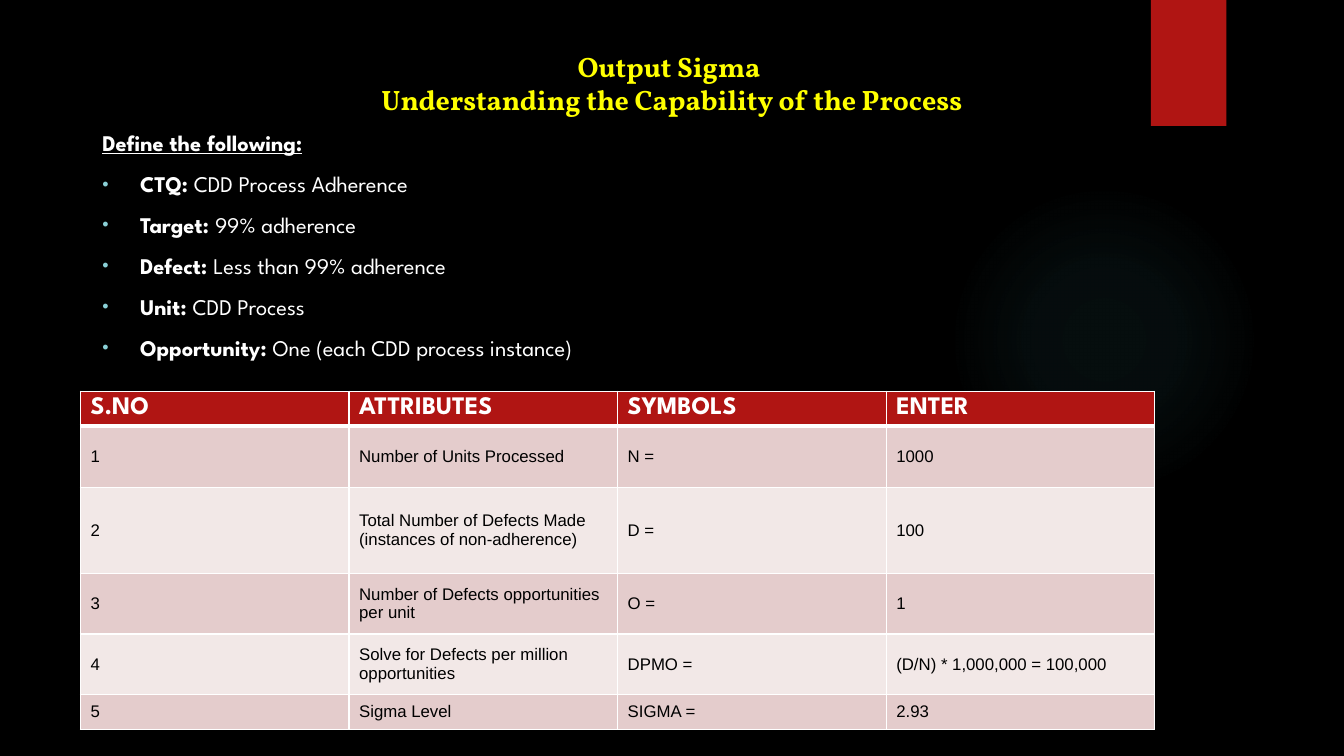
from lxml import etree
from pptx import Presentation
from pptx import util as u
from pptx.dml import color
from pptx.enum import shapes, text
from pptx.oxml import ns

Pt = u.Pt
WHITE, RED, GLOW = "FFFFFF", "B01513", "50B9C1"
HEAD = {"size": Pt(18), "name": "League Spartan", "bold": True}
CELL = {"size": Pt(12), "name": "Arial", "bold": False}
BODY = {"size": Pt(16), "name": "League Spartan"}
TITLE = {"size": Pt(20), "name": "Vollkorn", "bold": True}
DEFINITIONS = [
    ("CTQ: ", "CDD Process Adherence"),
    ("Target: ", "99% adherence"),
    ("Defect: ", "Less than 99% adherence"),
    ("Unit: ", "CDD Process"),
    ("Opportunity: ", "One (each CDD process instance)"),
]
ROWS = [
    ("S.NO", "ATTRIBUTES", "SYMBOLS", "ENTER"),
    ("1", "Number of Units Processed", "N =", "1000"),
    ("2", "Total Number of Defects Made (instances of non-adherence)", "D =", "100"),
    ("3", "Number of Defects opportunities per unit", "O =", "1"),
    ("4", "Solve for Defects per million opportunities", "DPMO =", "(D/N) * 1,000,000 = 100,000"),
    ("5", "Sigma Level", "SIGMA =", "2.93"),
]
HEIGHTS = [25, 43.5, 61.5, 43.5, 43, 25]


def rgb(value):
    return color.RGBColor.from_string(value)


def sub(parent, tag, **attrs):
    return etree.SubElement(parent, ns.qn(tag), {k: str(v) for k, v in attrs.items()})


def style(font, hex_color, values):
    for name, value in values.items():
        setattr(font, name, value)
    font.color.rgb = rgb(hex_color)


def add_run(p, content, hex_color, values):
    r = p.add_run()
    r.text = content
    style(r.font, hex_color, values)


def add_block(s, kind, box, fill):
    sp = s.shapes.add_shape(kind, *map(Pt, box))
    sp.shadow.inherit = False
    sp.line.fill.background()
    sp.fill.solid()
    sp.fill.fore_color.rgb = rgb(fill)
    return sp


def add_glow(s):
    sp = add_block(s, shapes.MSO_SHAPE.OVAL, (677.5, 131.75, 221.75, 221.75), GLOW)
    solid = sp.fill._xPr.find(ns.qn("a:solidFill"))
    grad = etree.Element(ns.qn("a:gradFill"))
    stops = sub(grad, "a:gsLst")
    for pos, alpha in ((0, 7), (36, 6), (69, 0)):
        stop = sub(stops, "a:gs", pos=pos * 1000)
        sub(sub(stop, "a:srgbClr", val=GLOW), "a:alpha", val=alpha * 1000)
    circle = sub(grad, "a:path", path="circle")
    sub(circle, "a:fillToRect", l=50000, t=50000, r=50000, b=50000)
    solid.getparent().replace(solid, grad)


def set_title(s):
    sp = s.shapes.title
    sp.left, sp.top, sp.width, sp.height = map(Pt, (66, 29, 828, 60.5))
    tf = sp.text_frame
    tf.vertical_anchor = text.MSO_ANCHOR.MIDDLE
    tf.word_wrap = True
    p = tf.paragraphs[0]
    p.alignment = text.PP_ALIGN.CENTER
    p.text = "Output Sigma \vUnderstanding the Capability of the Process"
    for r in p.runs:
        style(r.font, "FFFF00", TITLE)


def add_bullet(p):
    pPr = p._p.get_or_add_pPr()
    pPr.set("marL", str(Pt(27)))
    pPr.set("indent", str(Pt(-27)))
    sub(sub(pPr, "a:buClr"), "a:srgbClr", val="8AD0D6")
    sub(pPr, "a:buSzPct", val=80000)
    sub(pPr, "a:buFont", typeface="Arial")
    sub(pPr, "a:buChar", char="•")


def add_definitions(s):
    tf = s.shapes.add_textbox(*map(Pt, (66, 89, 828, 162))).text_frame
    tf.word_wrap = True
    p = tf.paragraphs[0]
    add_run(p, "Define the following:", WHITE, {**BODY, "bold": True, "underline": True})
    for term, meaning in DEFINITIONS:
        p = tf.add_paragraph()
        p.space_before = Pt(10)
        add_bullet(p)
        add_run(p, term, WHITE, {**BODY, "bold": True})
        add_run(p, meaning, WHITE, {**BODY, "bold": False})


def add_borders(cell, bottom):
    tcPr = cell._tc.get_or_add_tcPr()
    for side, width in (("L", 1), ("R", 1), ("T", 1), ("B", bottom)):
        ln = sub(tcPr, "a:ln" + side, w=Pt(width))
        sub(sub(ln, "a:solidFill"), "a:srgbClr", val=WHITE)


def fill_cell(cell, content, fill, hex_color, values, bottom):
    add_borders(cell, bottom)
    cell.fill.solid()
    cell.fill.fore_color.rgb = rgb(fill)
    cell.vertical_anchor = text.MSO_ANCHOR.MIDDLE
    cell.margin_top = cell.margin_bottom = Pt(1.5)
    add_run(cell.text_frame.paragraphs[0], content, hex_color, values)


def add_sigma_table(s):
    box = map(Pt, (57.5, 279.5, 767.5, sum(HEIGHTS)))
    table = s.shapes.add_table(len(ROWS), len(ROWS[0]), *box).table
    for i, (row, height) in enumerate(zip(ROWS, HEIGHTS)):
        table.rows[i].height = Pt(height)
        band = "E4CCCC" if i % 2 else "F2E8E7"
        look = (band, "000000", CELL, 1) if i else (RED, WHITE, HEAD, 3)
        for j, content in enumerate(row):
            fill_cell(table.cell(i, j), content, *look)


def main():
    prs = Presentation()
    prs.slide_width, prs.slide_height = Pt(960), Pt(540)
    s = prs.slides.add_slide(prs.slide_layouts[5])
    s.background.fill.solid()
    s.background.fill.fore_color.rgb = rgb("000000")
    add_glow(s)
    add_block(s, shapes.MSO_SHAPE.RECTANGLE, (822, 0, 54, 90), RED)
    set_title(s)
    add_definitions(s)
    add_sigma_table(s)
    prs.save("out.pptx")


if __name__ == "__main__":
    main()
